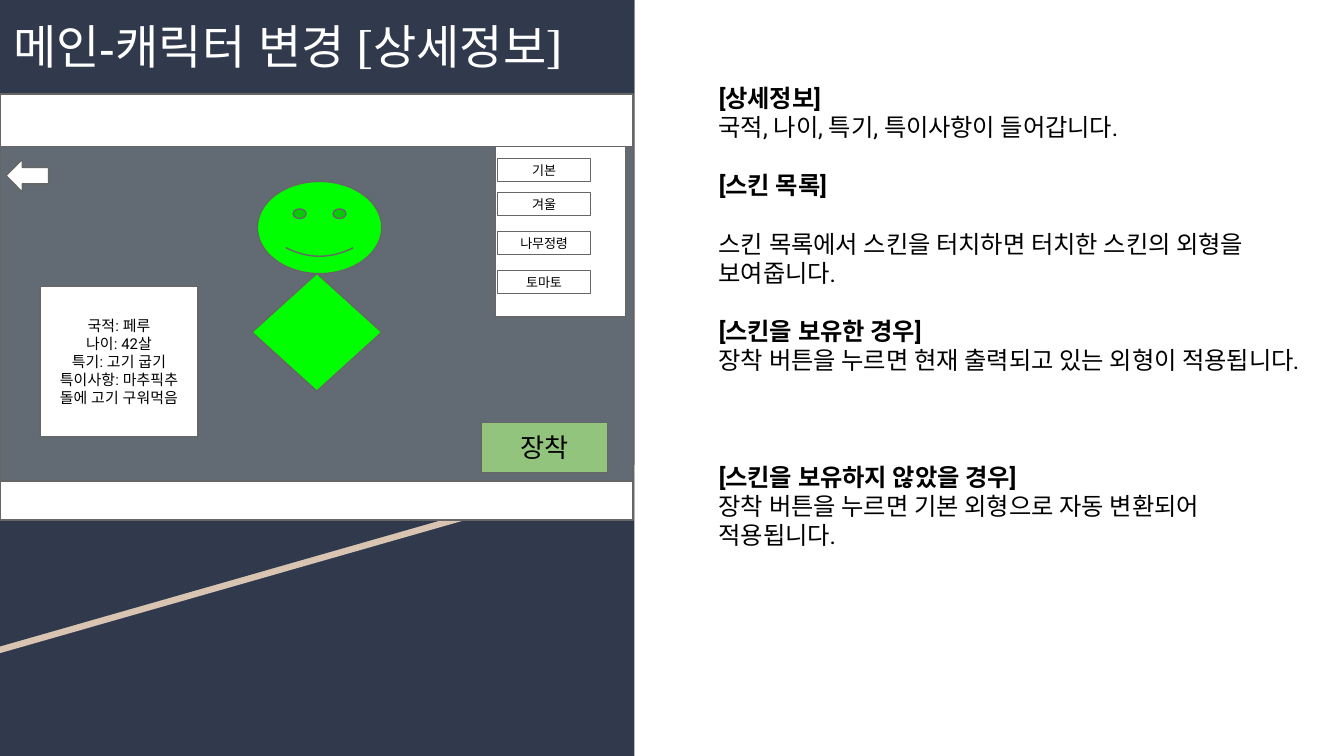
from lxml.etree import SubElement
from pptx import Presentation
from pptx.dml.color import RGBColor
from pptx.enum.shapes import MSO_SHAPE as Kind
from pptx.enum.text import MSO_ANCHOR as Anchor, MSO_AUTO_SIZE as AutoSize, PP_ALIGN as Align
from pptx.oxml.ns import qn
from pptx.util import Pt

COLORS = {
    "navy": "31394D", "sand": "D9C4B1", "slate": "626B73", "white": "FFFFFF",
    "black": "000000", "gray": "666666", "lime": "00FF00", "green": "93C47D",
}
PANEL_WIDTH = 339.84
LINE = 15.6
PROFILE = ["국적: 페루", "나이: 42살", "특기: 고기 굽기", "특이사항: 마추픽추 돌에 고기 구워먹음"]
SKINS = [("기본", 85), ("겨울", 103), ("나무정령", 124), ("토마토", 145)]
NOTES = [
    ("[상세정보]", True, 0),
    ("국적, 나이, 특기, 특이사항이 들어갑니다.", False, 0),
    ("[스킨 목록]", True, 1),
    ("스킨 목록에서 스킨을 터치하면 터치한 스킨의 외형을 보여줍니다.", False, 1),
    ("[스킨을 보유한 경우]", True, 1),
    ("장착 버튼을 누르면 현재 출력되고 있는 외형이 적용됩니다.", False, 0),
    ("[스킨을 보유하지 않았을 경우]", True, 3),
    ("장착 버튼을 누르면 기본 외형으로 자동 변환되어 적용됩니다.", False, 0),
]


def rgb(name):
    return RGBColor.from_string(COLORS[name])


def apply(target, values):
    for name, value in values.items():
        setattr(target, name, value)


def write(box, lines, size, font="Roboto", color="black", align=Align.LEFT, anchor=Anchor.TOP):
    frame = box.text_frame
    margins = {f"margin_{side}": Pt(7.2) for side in ("left", "right", "top", "bottom")}
    apply(frame, {"word_wrap": True, "auto_size": AutoSize.NONE, "vertical_anchor": anchor, **margins})
    for index, (text, bold, gap) in enumerate(lines):
        para = frame.add_paragraph() if index else frame.paragraphs[0]
        apply(para, {"alignment": align, "space_before": Pt(gap * LINE), "space_after": Pt(0)})
        span = para.add_run()
        span.text = text
        apply(span.font, {"name": font, "size": Pt(size), "bold": bold})
        span.font.color.rgb = rgb(color)
        SubElement(span.font._element, qn("a:ea"), typeface=font)


def paint(shape, fill, line=None):
    shape.shadow.inherit = False
    shape.fill.solid()
    shape.fill.fore_color.rgb = rgb(fill)
    if line:
        shape.line.color.rgb = rgb(line)
        shape.line.width = Pt(0.75)
    else:
        shape.line.fill.background()


def add_block(page, place, fill, kind=Kind.RECTANGLE, line="gray"):
    shape = page.shapes.add_shape(kind, *map(Pt, place))
    paint(shape, fill, line)
    return shape


def add_label(page, place, fill, lines, size):
    shape = add_block(page, place, fill)
    write(shape, [(text, False, 0) for text in lines], size, align=Align.CENTER, anchor=Anchor.MIDDLE)


def add_slope(page, top, right_end, left_end, fill):
    corners = [(0, top), (PANEL_WIDTH, top), (PANEL_WIDTH, right_end), (0, left_end)]
    points = [(Pt(x), Pt(y)) for x, y in corners]
    builder = page.shapes.build_freeform(*points[0])
    builder.add_line_segments(points[1:], close=True)
    paint(builder.convert_to_shape(), fill)


def add_title(page):
    title = page.shapes.title
    page.shapes._spTree.append(title._element)
    apply(title, {"left": Pt(0), "top": Pt(2.2), "width": Pt(671), "height": Pt(45.4)})
    write(title, [("메인-캐릭터 변경 [상세정보]", False, 0)], 25.2, "TeX Gyre Schola", "white")


def add_backdrop(page):
    add_block(page, (0, 0, PANEL_WIDTH, 405), "navy", line=None)
    add_slope(page, 3.6, 252.7, 349.9, "sand")
    add_slope(page, 0, 249.1, 346.3, "navy")


def add_screen(page):
    add_block(page, (0, 50.4, 339.1, 228.2), "white")
    add_block(page, (0, 78.5, 339.1, 179.3), "slate")
    face = add_block(page, (137.9, 97.2, 66.6, 49.4), "lime", Kind.SMILEY_FACE)
    face.adjustments[0] = 0.047
    add_block(page, (135, 146.5, 69.5, 63), "lime", Kind.DIAMOND)
    add_label(page, (21.4, 153.6, 84.8, 80.4), "white", PROFILE, 8)
    add_block(page, (3.2, 85.3, 22.8, 17.6), "white", Kind.LEFT_ARROW)
    add_label(page, (257.6, 226.2, 68, 27), "green", ["장착"], 14)
    add_block(page, (265.3, 78.5, 69.7, 91.4), "white")
    for skin, top in SKINS:
        add_label(page, (266.6, top, 49.7, 12.4), "white", [skin], 7)


def add_notes(page):
    box = page.shapes.add_textbox(Pt(378), Pt(37.4), Pt(331.2), Pt(306.7))
    write(box, NOTES, 13)


def main():
    deck = Presentation()
    apply(deck, {"slide_width": Pt(720), "slide_height": Pt(405)})
    page = deck.slides.add_slide(deck.slide_layouts[5])
    add_backdrop(page)
    add_title(page)
    add_screen(page)
    add_notes(page)
    deck.save("out.pptx")


if __name__ == "__main__":
    main()
